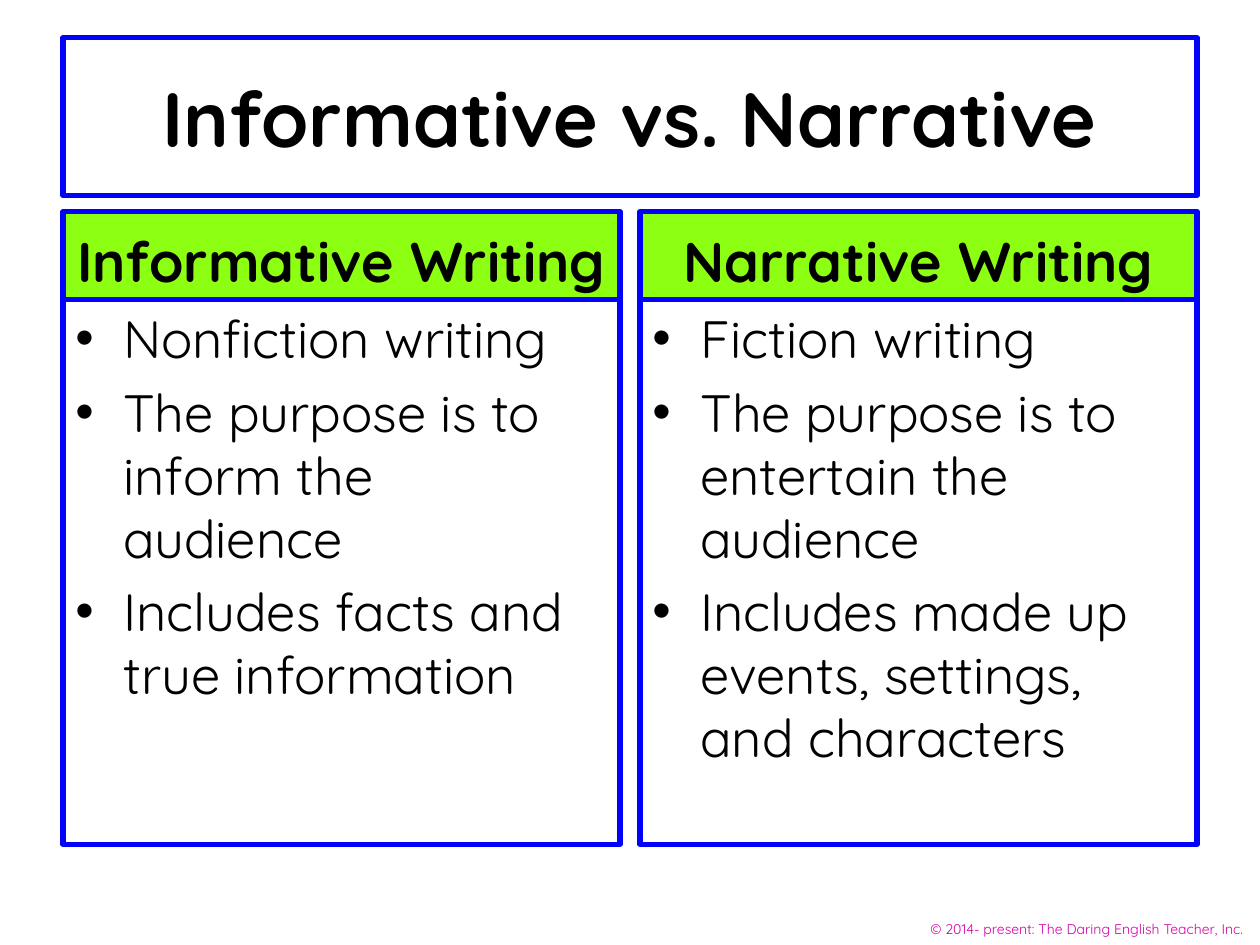
from lxml.etree import SubElement
from pptx import Presentation
from pptx.dml.color import RGBColor
from pptx.enum.shapes import MSO_SHAPE
from pptx.enum.text import MSO_ANCHOR, PP_ALIGN
from pptx.oxml.ns import qn
from pptx.util import Inches, Pt

WIDTH, HEIGHT = 10, 7.5
MARGIN, GAP = 0.5, 0.16
HEADER_HEIGHT = 0.7
INDENT = Inches(0.38)
BLUE, GREEN, WHITE, BLACK, PINK = "0002FA", "8DFF12", "FFFFFF", "000000", "D400A9"

COLUMNS = [
    ("Informative Writing", [
        "Nonfiction writing",
        "The purpose is to inform the audience",
        "Includes facts and true information",
    ]),
    ("Narrative Writing", [
        "Fiction writing",
        "The purpose is to entertain the audience",
        "Includes made up events, settings, and characters",
    ]),
]


def rgb(value):
    return RGBColor.from_string(value)


def add_bullet(p):
    pPr = p._p.get_or_add_pPr()
    pPr.set("marL", str(INDENT))
    pPr.set("indent", str(-INDENT))
    SubElement(pPr, qn("a:buFont")).set("typeface", "Arial")
    SubElement(pPr, qn("a:buChar")).set("char", "•")


def write(tf, lines, size, color=BLACK, bold=False, align=PP_ALIGN.LEFT,
          anchor=MSO_ANCHOR.TOP, bullets=False):
    tf.word_wrap = True
    tf.vertical_anchor = anchor
    for i, line in enumerate(lines):
        p = tf.add_paragraph() if i else tf.paragraphs[0]
        p.alignment = align
        if i:
            p.space_before = Pt(size * 0.2)
        if bullets:
            add_bullet(p)
        r = p.add_run()
        r.text = line
        r.font.name = "Quicksand"
        r.font.size = Pt(size)
        r.font.bold = bold
        r.font.color.rgb = rgb(color)


def add_panel(s, box, fill, lines, size, **text_format):
    """Blue-outlined rectangle with text."""
    sp = s.shapes.add_shape(MSO_SHAPE.RECTANGLE, *map(Inches, box))
    sp.shadow.inherit = False
    sp.fill.solid()
    sp.fill.fore_color.rgb = rgb(fill)
    sp.line.color.rgb = rgb(BLUE)
    sp.line.width = Pt(3)
    write(sp.text_frame, lines, size, **text_format)


def add_title(s, box, text):
    add_panel(s, box, WHITE, [text], 44, bold=True,
              align=PP_ALIGN.CENTER, anchor=MSO_ANCHOR.MIDDLE)


def add_column(s, box, heading, points):
    left, top, width, height = box
    add_panel(s, (left, top, width, HEADER_HEIGHT), GREEN, [heading], 32,
              bold=True, align=PP_ALIGN.CENTER, anchor=MSO_ANCHOR.BOTTOM)
    add_panel(s, (left, top + HEADER_HEIGHT, width, height - HEADER_HEIGHT),
              WHITE, points, 30, bullets=True)


def add_footer(s, box, text):
    sp = s.shapes.add_textbox(*map(Inches, box))
    write(sp.text_frame, [text], 8, color=PINK, align=PP_ALIGN.RIGHT)


def main():
    prs = Presentation()
    prs.slide_width, prs.slide_height = Inches(WIDTH), Inches(HEIGHT)
    s = prs.slides.add_slide(prs.slide_layouts[6])

    # Copyright line in the bottom right corner
    add_footer(s, (WIDTH - 3.6, HEIGHT - 0.24, 3.6, 0.24),
               "© 2014- present: The Daring English Teacher, Inc. ")

    # Title across both columns
    content_width = WIDTH - 2 * MARGIN
    add_title(s, (MARGIN, 0.3, content_width, 1.25), "Informative vs. Narrative")

    # Two equal comparison columns
    width = (content_width - GAP) / len(COLUMNS)
    for i, (heading, points) in enumerate(COLUMNS):
        left = MARGIN + i * (width + GAP)
        add_column(s, (left, 1.68, width, 5.02), heading, points)

    prs.save("out.pptx")


if __name__ == "__main__":
    main()
